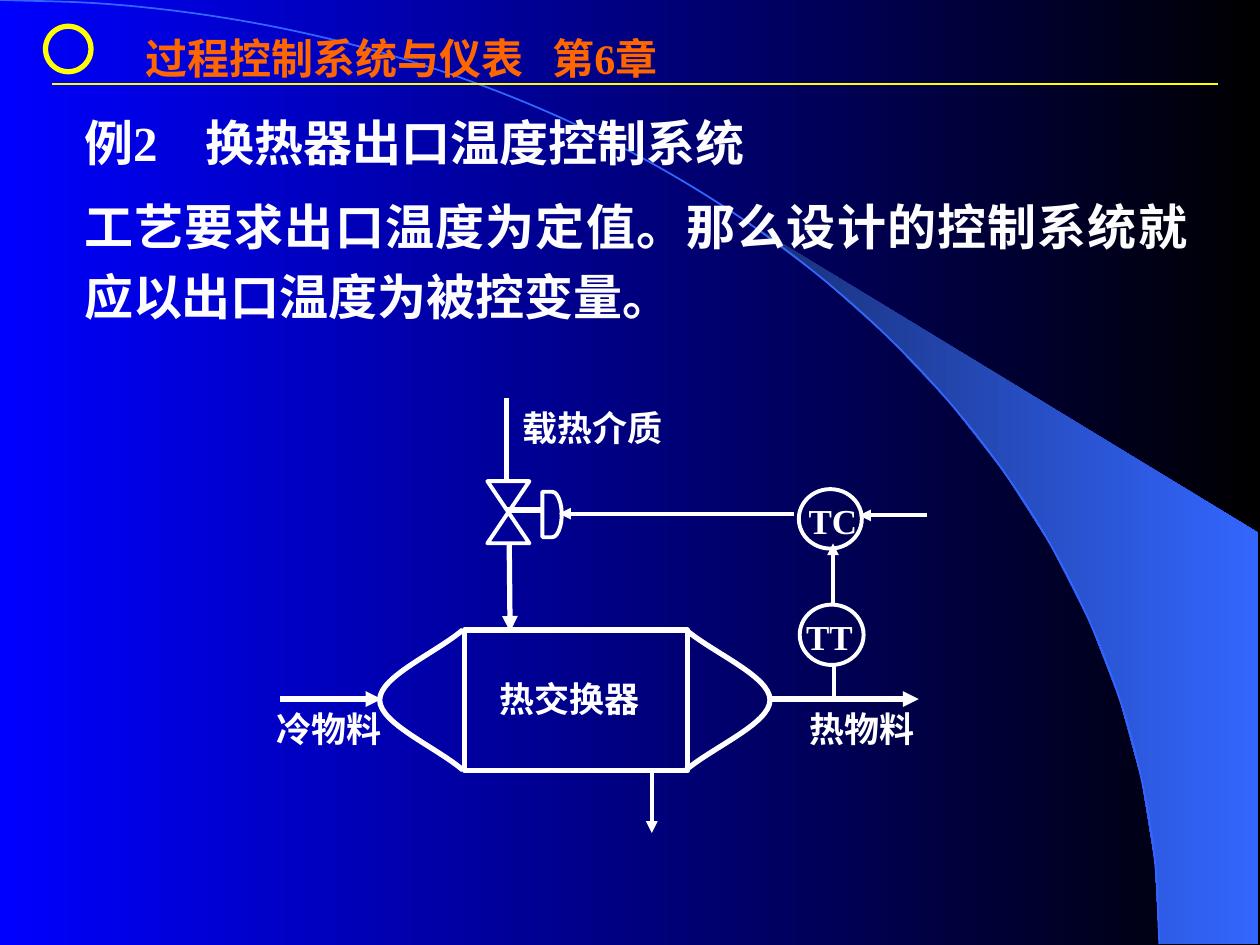
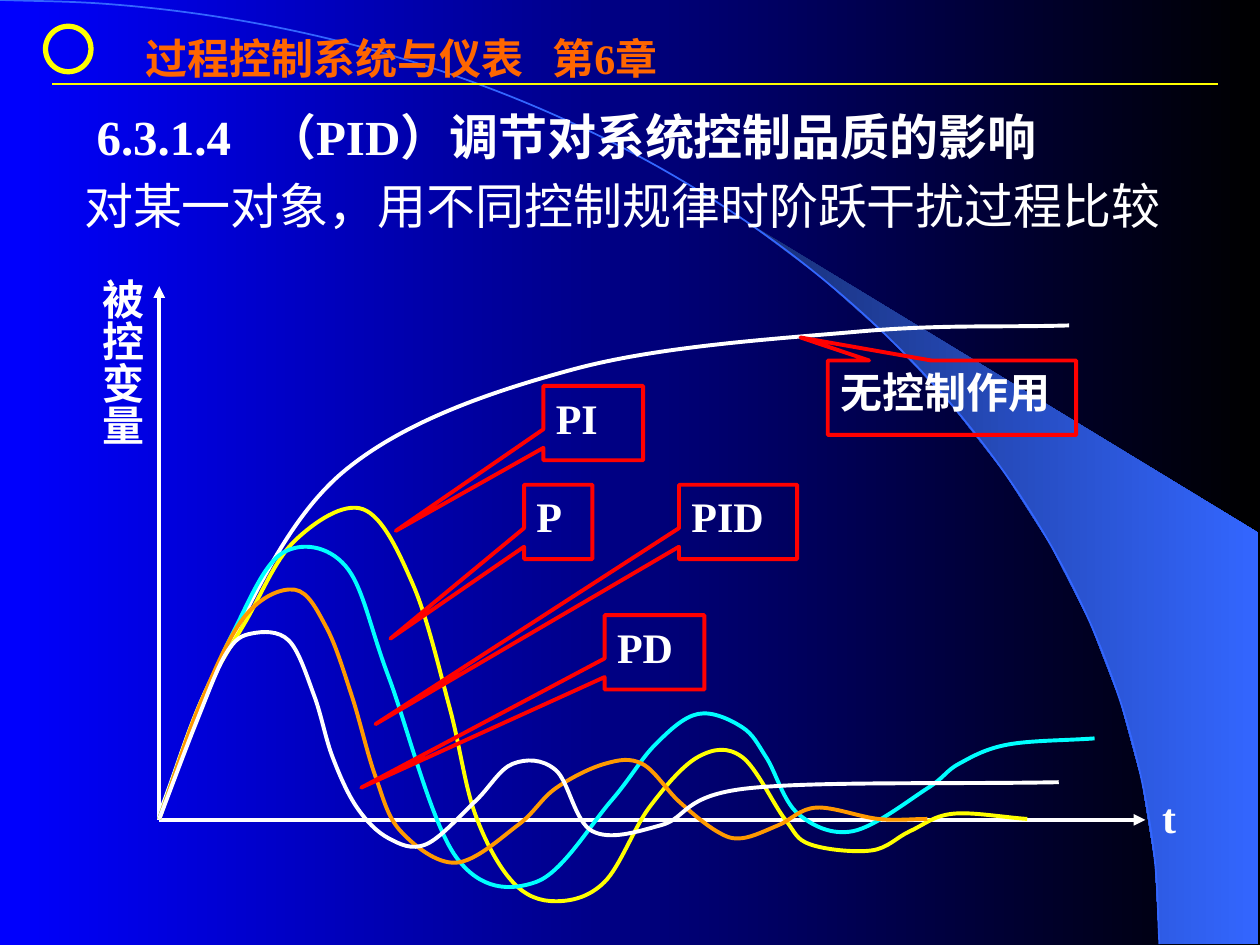
"""Build two process control slides: a heat exchanger loop and a comparison of PID responses."""
from math import cos, radians, sin

from lxml.etree import SubElement
from pptx import Presentation
from pptx.dml.color import RGBColor
from pptx.enum.shapes import MSO_CONNECTOR, MSO_SHAPE
from pptx.enum.text import MSO_ANCHOR, MSO_AUTO_SIZE, PP_ALIGN
from pptx.oxml.ns import qn
from pptx.util import Pt

FONT = "Times New Roman"
COLORS = {
    "blue": "0000FF", "black": "000000", "navy": "182F76", "sky": "3366FF",
    "yellow": "FFFF00", "orange": "FF6600", "amber": "FF9900", "cyan": "00FFFF",
    "red": "FF0000", "white": "FFFFFF", "soft white": "FDFDFD",
}


def set_text(shape, text, size, color="white", bold=True, align=PP_ALIGN.LEFT, spacing=1.0, tab=None):
    """Write one top-anchored paragraph with an optional tab stop."""
    frame = shape.text_frame
    frame.word_wrap = True
    frame.auto_size = MSO_AUTO_SIZE.NONE
    frame.vertical_anchor = MSO_ANCHOR.TOP
    frame.text = text
    paragraph = frame.paragraphs[0]
    paragraph.alignment = align
    paragraph.line_spacing = spacing
    if tab:
        stops = SubElement(paragraph._p.get_or_add_pPr(), qn("a:tabLst"))
        SubElement(stops, qn("a:tab"), pos=str(Pt(tab)), algn="l")
    for run in paragraph.runs:
        run.font.name = FONT
        run.font.size = Pt(size)
        run.font.bold = bold
        run.font.color.rgb = RGBColor.from_string(COLORS[color])


def draw_curve(slide, anchors, color, width):
    """Draw a smooth open curve of cubic segments through the anchors."""
    (x0, y0), (x1, y1) = anchors[:2]
    (x2, y2), (x3, y3) = anchors[-2:]
    knots = [(2 * x0 - x1, 2 * y0 - y1), *anchors, (2 * x3 - x2, 2 * y3 - y2)]
    points = []
    for before, start, end, after in zip(knots, knots[1:], knots[2:], knots[3:]):
        points.append([Pt(s + (e - b) / 6) for b, s, e in zip(before, start, end)])
        points.append([Pt(e - (a - s) / 6) for s, e, a in zip(start, end, after)])
        points.append([Pt(value) for value in end])
    builder = slide.shapes.build_freeform(Pt(x0), Pt(y0), 1.0)
    builder.add_line_segments(points, close=False)
    curve = builder.convert_to_shape()
    outline = next(curve.element.iter(qn("a:path")))
    segments = outline.findall(qn("a:lnTo"))
    for index in range(0, len(segments), 3):
        cubic = SubElement(outline, qn("a:cubicBezTo"))
        for segment in segments[index:index + 3]:
            cubic.append(segment[0])
            outline.remove(segment)
    curve.shadow.inherit = False
    curve.fill.background()
    curve.line.color.rgb = RGBColor.from_string(COLORS[color])
    curve.line.width = Pt(width)


presentation = Presentation()
presentation.slide_width = Pt(720)
presentation.slide_height = Pt(540)
layout = presentation.slide_layouts[5]
for placeholder in list(layout.placeholders)[1:]:
    layout.shapes.element.remove(placeholder.element)
exchanger_slide = presentation.slides.add_slide(layout)
response_slide = presentation.slides.add_slide(layout)

arc = [(662.5 * sin(radians(angle)), 539.5 - 539.5 * cos(radians(angle))) for angle in range(0, 91, 5)]
wedge_points = [(Pt(x), Pt(y)) for x, y in arc[8:] + [(719, 539.5), (719, 304.5)]]
builder = exchanger_slide.shapes.build_freeform(*wedge_points[0], 1.0)
builder.add_line_segments(wedge_points[1:])
wedge = builder.convert_to_shape()
wedge.shadow.inherit = False
wedge.line.fill.background()

background = presentation.slide_master.background
for fill, start, end in [(background.fill, "blue", "black"), (wedge.fill, "navy", "sky")]:
    fill.gradient()
    fill.gradient_angle = 0
    for stop, color in zip(fill.gradient_stops, (start, end)):
        stop.color.rgb = RGBColor.from_string(COLORS[color])

draw_curve(exchanger_slide, arc, "sky", 1)
header = exchanger_slide.shapes.add_textbox(Pt(76), Pt(15), Pt(400), Pt(40))
set_text(header, "过程控制系统与仪表\t第6章", 24, "orange", tab=232.5)
header_ring = exchanger_slide.shapes.add_shape(MSO_SHAPE.OVAL, Pt(26), Pt(15), Pt(26), Pt(26))
header_ring.shadow.inherit = False
header_ring.fill.background()
header_ring.line.color.rgb = RGBColor.from_string(COLORS["yellow"])
header_ring.line.width = Pt(3)
header_rule = exchanger_slide.shapes.add_connector(
    MSO_CONNECTOR.STRAIGHT, Pt(30), Pt(48), Pt(696), Pt(48))
header_rule.line.color.rgb = RGBColor.from_string(COLORS["yellow"])
header_rule.line.width = Pt(1.5)
SubElement(header_rule.element.spPr, qn("a:effectLst"))
for shape in list(exchanger_slide.shapes):
    if not shape.is_placeholder:
        layout.shapes.element.append(shape.element)

titles = [
    (exchanger_slide, "例2\t换热器出口温度控制系统", 41, 54, "soft white", 69.5),
    (response_slide, "6.3.1.4\t（PID）调节对系统控制品质的影响", 48, 50.5, "white", 97.5),
]
for slide, text, left, top, color, tab in titles:
    title = slide.shapes.title
    title.left, title.top, title.width, title.height = Pt(left), Pt(top), Pt(644), Pt(47.5)
    set_text(title, text, 28, color, spacing=1.2, tab=tab)

requirement = exchanger_slide.shapes.add_textbox(Pt(41), Pt(102), Pt(644.5), Pt(88))
set_text(requirement, "工艺要求出口温度为定值。那么设计的控制系统就应以出口温度为被控变量。",
         28, "soft white", align=PP_ALIGN.JUSTIFY, spacing=1.2)
comparison = response_slide.shapes.add_textbox(Pt(41), Pt(96.5), Pt(655), Pt(41))
set_text(comparison, "对某一对象，用不同控制规律时阶跃干扰过程比较", 28, bold=False)

lines = [
    (exchanger_slide, 440.5, 399.5, 525, 399.5, 3, True),
    (exchanger_slide, 160, 399.5, 218, 399.5, 3, True),
    (exchanger_slide, 291, 310.5, 291.5, 361, 3, True),
    (exchanger_slide, 372.5, 440, 372.5, 476, 2.25, True),
    (exchanger_slide, 289.5, 227.5, 289.5, 275, 3, False),
    (exchanger_slide, 289.5, 291.5, 310.5, 291.5, 3, False),
    (exchanger_slide, 453.5, 293.5, 319.5, 293.5, 2.25, True),
    (exchanger_slide, 476, 346.5, 476, 310.5, 2.25, True),
    (exchanger_slide, 476.5, 380, 476.5, 397.5, 2.25, False),
    (exchanger_slide, 530, 294.5, 491, 294.5, 2.25, True),
    (response_slide, 91, 468.5, 654.5, 468.5, 2.25, True),
    (response_slide, 91, 468.5, 91, 163.5, 2.25, True),
]
for slide, x1, y1, x2, y2, width, arrow in lines:
    connector = slide.shapes.add_connector(MSO_CONNECTOR.STRAIGHT, Pt(x1), Pt(y1), Pt(x2), Pt(y2))
    connector.line.color.rgb = RGBColor.from_string(COLORS["white"])
    connector.line.width = Pt(width)
    if arrow:
        SubElement(connector.element.spPr.get_or_add_ln(), qn("a:tailEnd"), type="triangle")
    SubElement(connector.element.spPr, qn("a:effectLst"))

equipment = [
    (MSO_SHAPE.FLOWCHART_COLLATE, 278.5, 275, 24, 35.5, 2.25),
    (MSO_SHAPE.FLOWCHART_DELAY, 310, 281, 11, 26, 2.25),
    (MSO_SHAPE.RECTANGLE, 265.5, 360, 127.5, 80.5, 3),
    (MSO_SHAPE.OVAL, 457, 345.5, 36.5, 34.5, 2.25),
    (MSO_SHAPE.OVAL, 456.5, 279.5, 36, 34, 2.25),
]
for kind, left, top, width, height, line_width in equipment:
    shape = exchanger_slide.shapes.add_shape(kind, Pt(left), Pt(top), Pt(width), Pt(height))
    shape.shadow.inherit = False
    shape.fill.background()
    shape.line.color.rgb = RGBColor.from_string(COLORS["white"])
    shape.line.width = Pt(line_width)
for edge, tip in [(264.5, 217), (392, 440)]:
    draw_curve(exchanger_slide, [(edge, 360), (tip, 400), (edge, 440)], "white", 3)

responses = [
    ("white", [(91, 465), (126, 378), (197, 269), (328, 211), (491, 189.5), (611, 186)]),
    ("yellow", [(91, 468), (115, 401), (140.5, 355), (168.5, 309), (207.5, 291), (236, 334),
                (257, 404.5), (271.5, 465), (293, 504), (317.5, 515), (345.5, 504),
                (371, 461.5), (399, 432.5), (424, 432.5), (448.5, 468), (463, 482.5),
                (498, 486), (520, 475), (544.5, 465), (587, 468)]),
    ("cyan", [(91, 468), (108.5, 419), (133, 362), (161.5, 316), (197.5, 323.5), (222, 386.5),
              (260.5, 489.5), (306.5, 504), (349, 458), (374.5, 425.5), (399, 408),
              (424, 415.5), (438, 433), (456, 465), (487.5, 475), (530, 450.5),
              (548, 436.5), (576, 425.5), (625.5, 422)]),
    ("amber", [(91, 468), (115, 401), (140.5, 351.5), (168.5, 337), (186.5, 358.5),
               (201, 397.5), (214.5, 443.5), (229, 475), (260.5, 493), (296, 471.5),
               (317.5, 450.5), (345.5, 436.5), (367, 436.5), (388, 458), (409.5, 475),
               (424, 479), (445, 471.5), (466.5, 461.5), (502, 468), (530, 468)]),
    ("white", [(91, 468), (112.5, 412), (129.5, 373), (144, 362), (165, 366), (179.5, 397.5),
               (190, 432.5), (204, 461.5), (222, 479), (243.5, 482.5), (271.5, 458),
               (293, 436.5), (317.5, 440), (338.5, 475), (378, 471.5), (427.5, 450.5),
               (605, 447)]),
]
for color, anchors in responses:
    draw_curve(response_slide, anchors, color, 2.25)

labels = [
    (exchanger_slide, "热物料", 455.5, 401, 88.5, 34.5, 20),
    (exchanger_slide, "载热介质", 291.5, 229, 104.5, 34.5, 20),
    (exchanger_slide, "冷物料", 151, 401, 85, 34.5, 20),
    (exchanger_slide, "热交换器", 278.5, 383.5, 105, 31.5, 20),
    (exchanger_slide, "TT", 453.5, 348, 53.5, 30, 20),
    (exchanger_slide, "TC", 455, 282, 52.5, 29.5, 20),
    (response_slide, "t", 657, 448.5, 28, 36, 24),
]
for slide, text, left, top, width, height, size in labels:
    label = slide.shapes.add_textbox(Pt(left), Pt(top), Pt(width), Pt(height))
    set_text(label, text, size)

axis_label = response_slide.shapes.add_textbox(Pt(44.5), Pt(152), Pt(43), Pt(104))
set_text(axis_label, "被控变量", 24, align=PP_ALIGN.CENTER)
axis_frame = axis_label.text_frame
axis_frame.word_wrap = False
axis_frame.margin_left = axis_frame.margin_right = Pt(3.6)
axis_frame.margin_top = axis_frame.margin_bottom = Pt(7.2)
axis_label.element.txBody.bodyPr.set("vert", "eaVert")

callouts = [
    ("无控制作用", 473, 206, 142, -0.61, -0.81),
    ("P", 299.5, 277, 39, -2.46, 1.57),
    ("PD", 345.5, 351.5, 57, -2.94, 1.82),
    ("PID", 388, 277, 67.5, -3.07, 2.72),
    ("PI", 310.5, 220.5, 57, -1.98, 1.45),
]
for text, left, top, width, tip_x, tip_y in callouts:
    callout = response_slide.shapes.add_shape(
        MSO_SHAPE.RECTANGULAR_CALLOUT, Pt(left), Pt(top), Pt(width), Pt(42.5))
    callout.adjustments[0] = tip_x
    callout.adjustments[1] = tip_y
    callout.shadow.inherit = False
    callout.fill.background()
    callout.line.color.rgb = RGBColor.from_string(COLORS["red"])
    callout.line.width = Pt(2.25)
    set_text(callout, text, 24)

presentation.save("out.pptx")
